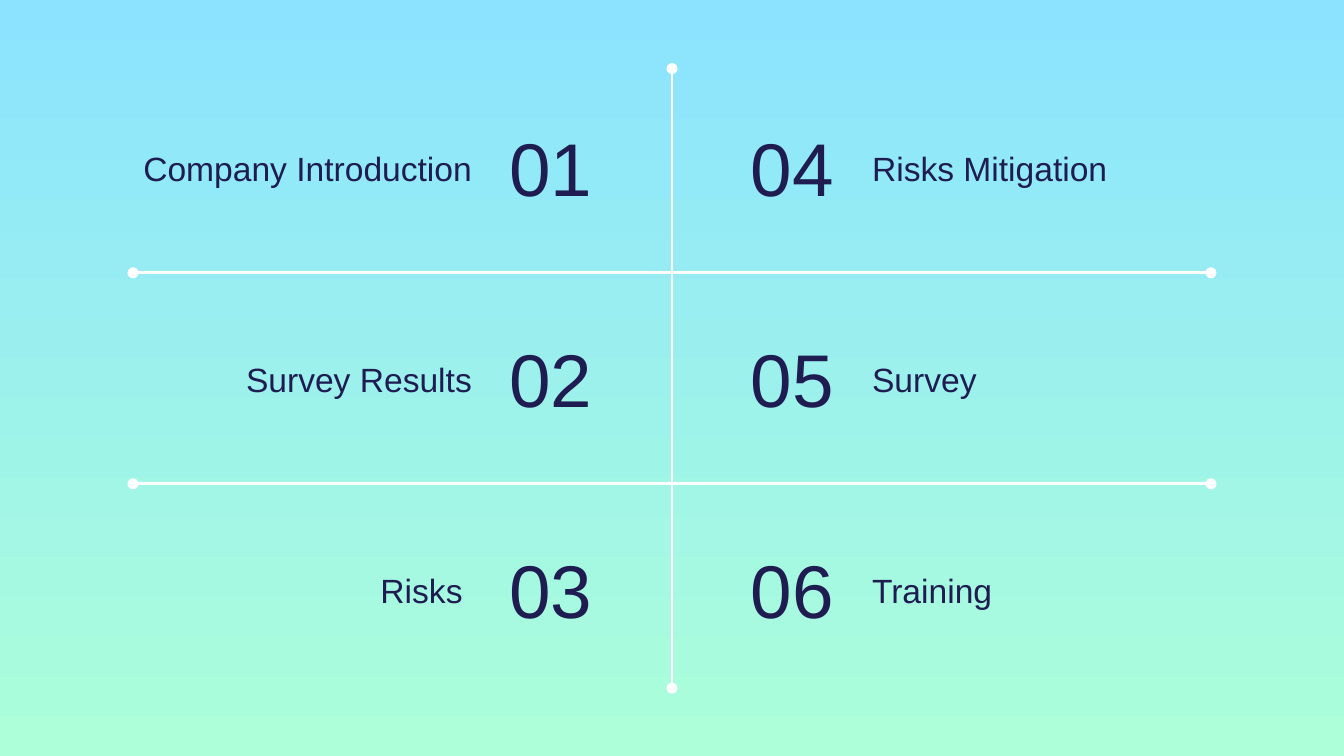
from typing import NamedTuple

from lxml import etree
from pptx import Presentation
from pptx.dml.color import RGBColor
from pptx.enum.shapes import MSO_CONNECTOR
from pptx.enum.text import MSO_ANCHOR, PP_ALIGN
from pptx.oxml.ns import qn
from pptx.util import Inches, Pt

STRAIGHT = MSO_CONNECTOR.STRAIGHT
LEFT, RIGHT = PP_ALIGN.LEFT, PP_ALIGN.RIGHT
MIDDLE, BOTTOM = MSO_ANCHOR.MIDDLE, MSO_ANCHOR.BOTTOM

COLORS = {"sky": "8BE3FF", "mint": "ACFFD9", "ink": "1F1C51", "line": "FFFFFF"}
FONT = "Arial"
SLIDE_WIDTH = 10
SLIDE_HEIGHT = SLIDE_WIDTH * 9 / 16
ROW_TOP, ROW_STEP = 0.81, 1.57
LABEL_DROP = 0.19


class TextStyle(NamedTuple):
    width: float
    height: float
    size: int
    anchor: MSO_ANCHOR


class Column(NamedTuple):
    number_x: float
    number_align: PP_ALIGN
    label_x: float
    label_align: PP_ALIGN
    first: int
    labels: tuple[str, ...]


class Rule(NamedTuple):
    x1: float
    y1: float
    x2: float
    y2: float


NUMBER = TextStyle(1.3, 0.86, 40, MIDDLE)
LABEL = TextStyle(2.98, 0.5, 18, BOTTOM)

COLUMNS = (
    Column(3.69, LEFT, 0.63, RIGHT, 1,
           ("Company Introduction", "Survey Results", "Risks ")),
    Column(5, RIGHT, 6.39, LEFT, 4,
           ("Risks Mitigation", "Survey", "Training")),
)
RULES = (
    Rule(5, 0.51, 5, 5.12),
    Rule(0.99, 2.03, 9.01, 2.03),
    Rule(0.99, 3.6, 9.01, 3.6),
)


def rgb(name: str) -> RGBColor:
    return RGBColor.from_string(COLORS[name])


def add_text(s, text: str, x: float, y: float, style: TextStyle,
             align: PP_ALIGN) -> None:
    box = s.shapes.add_textbox(Inches(x), Inches(y),
                               Inches(style.width), Inches(style.height))
    tf = box.text_frame
    frame = {"word_wrap": True, "vertical_anchor": style.anchor}
    frame.update({f"margin_{side}": Inches(0.1)
                  for side in ("left", "top", "right", "bottom")})
    for name, value in frame.items():
        setattr(tf, name, value)
    p = tf.paragraphs[0]
    p.alignment = align
    r = p.add_run()
    r.text = text
    for name, value in {"name": FONT, "size": Pt(style.size)}.items():
        setattr(r.font, name, value)
    r.font.color.rgb = rgb("ink")


def add_rule(s, rule: Rule) -> None:
    line = s.shapes.add_connector(STRAIGHT, *(Inches(v) for v in rule))
    line.line.color.rgb = rgb("line")
    line.line.width = Pt(1.5)
    # Round dots on both ends, no shadow
    ln = line.line._get_or_add_ln()
    for end in ("a:headEnd", "a:tailEnd"):
        etree.SubElement(ln, qn(end), type="oval", w="med", len="med")
    etree.SubElement(line._element.spPr, qn("a:effectLst"))


def add_column(s, col: Column) -> None:
    for i, label in enumerate(col.labels):
        y = ROW_TOP + i * ROW_STEP
        add_text(s, f"{col.first + i:02d}", col.number_x, y, NUMBER,
                 col.number_align)
        add_text(s, label, col.label_x, y + LABEL_DROP, LABEL, col.label_align)


def main() -> None:
    prs = Presentation()
    prs.slide_width, prs.slide_height = Inches(SLIDE_WIDTH), Inches(SLIDE_HEIGHT)
    s = prs.slides.add_slide(prs.slide_layouts[6])

    # Background, top to bottom
    fill = s.background.fill
    fill.gradient()
    fill.gradient_angle = 270
    for stop, name, position in zip(fill.gradient_stops, ("sky", "mint"), (0, 1)):
        stop.color.rgb = rgb(name)
        stop.position = position

    # Dividing lines
    for rule in RULES:
        add_rule(s, rule)

    # Agenda entries
    for col in COLUMNS:
        add_column(s, col)

    prs.save("out.pptx")


if __name__ == "__main__":
    main()
